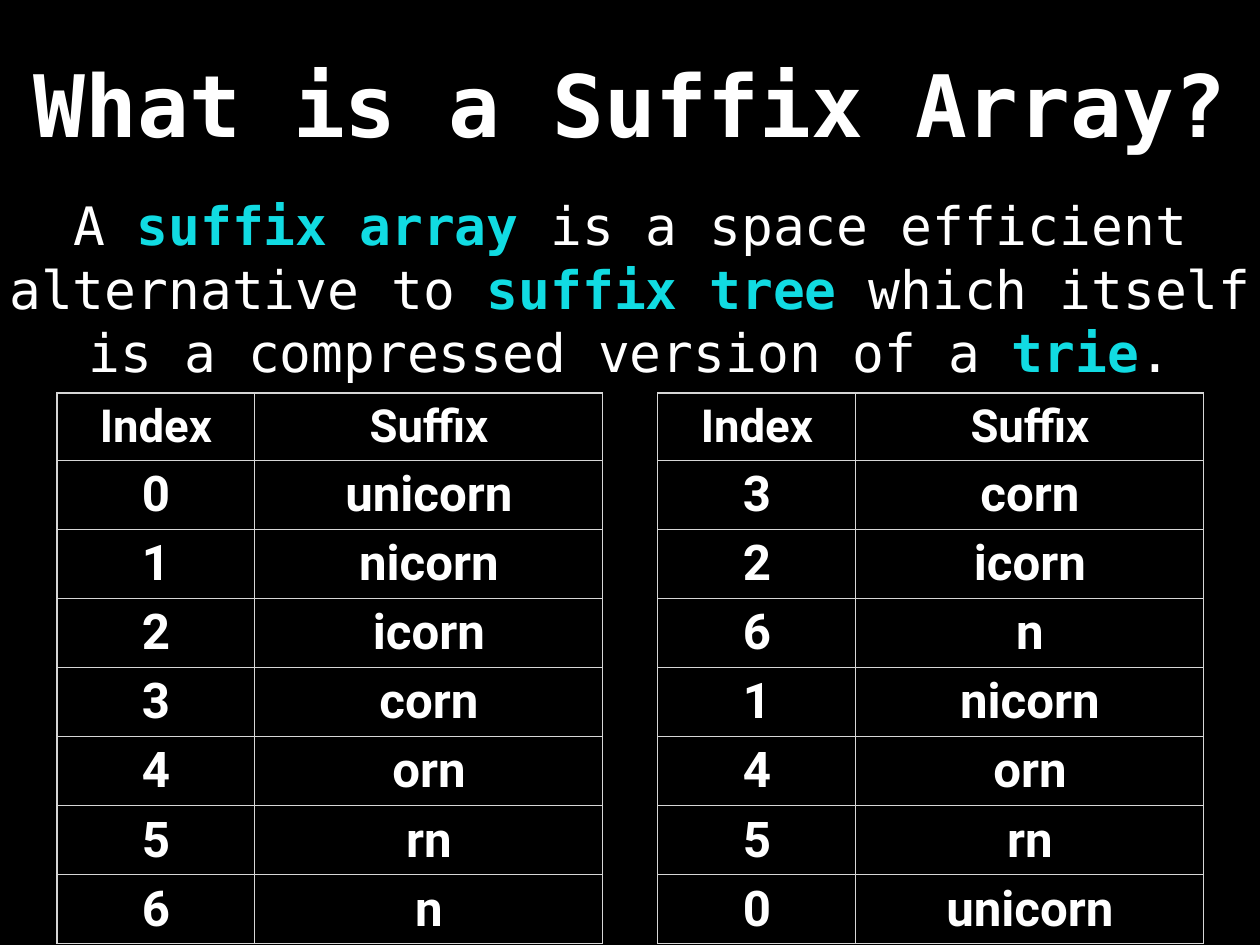
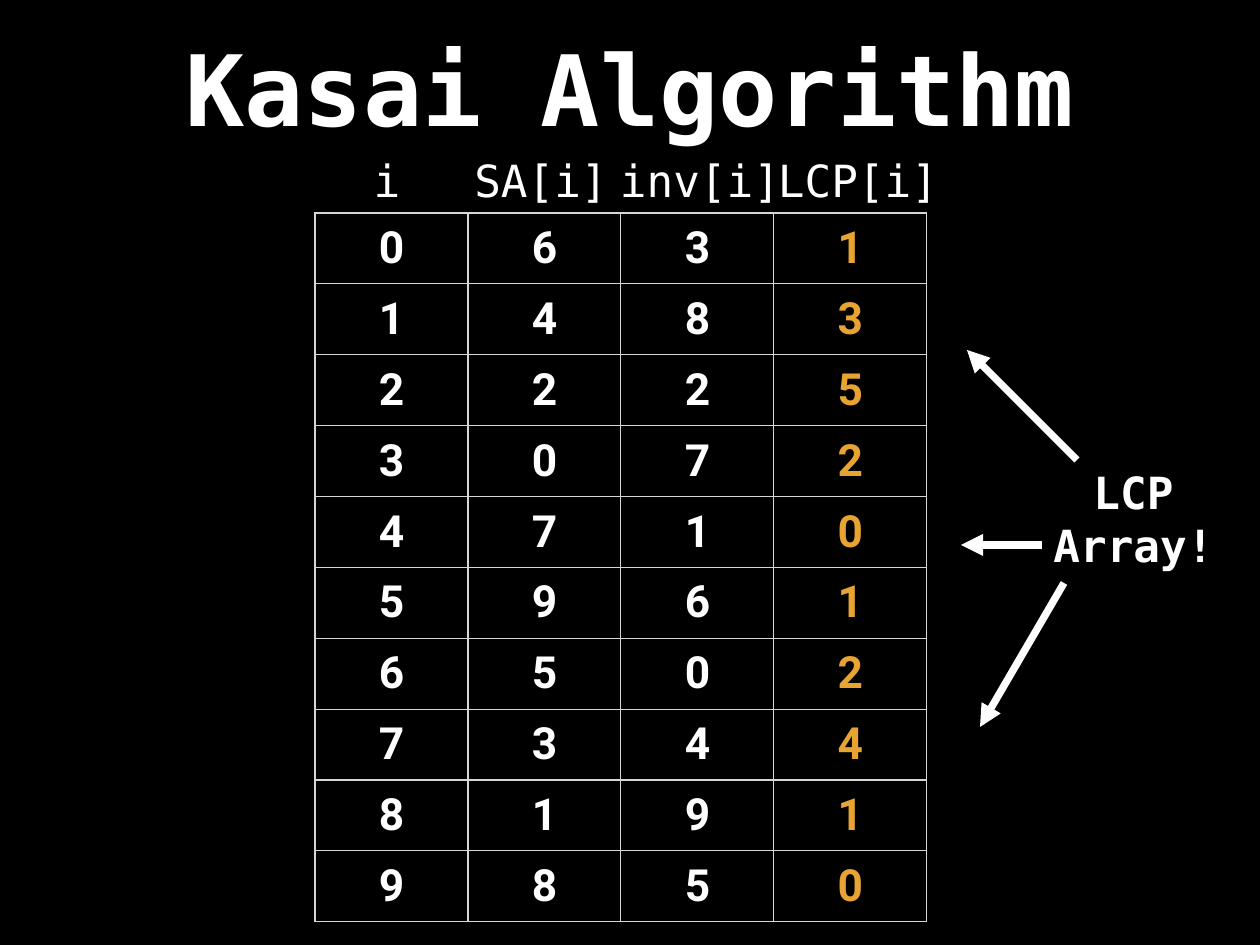
from lxml import etree
from pptx import Presentation
from pptx.dml.color import RGBColor as Rgb
from pptx.enum.shapes import MSO_CONNECTOR as Conn
from pptx.enum.text import MSO_ANCHOR as Anchor, PP_ALIGN as Align
from pptx.oxml import parse_xml
from pptx.oxml.ns import nsdecls, qn
from pptx.util import Pt

PX = 10321
WIDE, HIGH = 1260, 945
INSET = 5
MONO, SANS = "DejaVu Sans Mono", "Roboto"
INK = {
    "back": "000000",
    "text": "FFFFFF",
    "term": "11DBE2",
    "lcp": "E8A432",
    "grid": "D6D6D6",
}

SUFFIXES = ["unicorn", "nicorn", "icorn", "corn", "orn", "rn", "n"]
SORTED = [3, 2, 6, 1, 4, 5, 0]
SA = [6, 4, 2, 0, 7, 9, 5, 3, 1, 8]
INV = [3, 8, 2, 7, 1, 6, 0, 4, 9, 5]
LCP = [1, 3, 5, 2, 0, 1, 2, 4, 1, 0]


def emu(*sizes):
    return [round(size * PX) for size in sizes]


def write(frame, text, size=36, font=MONO, ink="text", bold=False):
    """Write one paragraph per line; words between asterisks are key terms."""
    for num, line in enumerate(text.split("\n")):
        para = frame.add_paragraph() if num else frame.paragraphs[0]
        para.alignment = Align.CENTER
        for part, words in enumerate(line.split("*")):
            term = part % 2 == 1
            run = para.add_run()
            run.text = words
            run.font.size = Pt(size)
            run.font.name = font
            run.font.bold = bold or term
            run.font.color.rgb = Rgb.from_string(INK["term" if term else ink])


def add_box(slide, text, x, y, w, h, wrap=True, **style):
    frame = slide.shapes.add_textbox(*emu(x, y, w, h)).text_frame
    frame.word_wrap = wrap
    frame.vertical_anchor = Anchor.MIDDLE
    frame.margin_left, frame.margin_top = emu(INSET, INSET)
    frame.margin_right, frame.margin_bottom = emu(INSET, INSET)
    write(frame, text, **style)


def add_slide(deck, title, size, high):
    slide = deck.slides.add_slide(deck.slide_layouts[6])
    slide.background.fill.solid()
    slide.background.fill.fore_color.rgb = Rgb.from_string(INK["back"])
    add_box(slide, title, 0, 0, WIDE, high, size=size, bold=True)
    return slide


def style_cell(cell):
    cell.vertical_anchor = Anchor.MIDDLE
    cell.margin_left, cell.margin_top = emu(INSET, INSET)
    cell.margin_right, cell.margin_bottom = emu(INSET, INSET)
    props = cell._tc.get_or_add_tcPr()
    for side in "LRTB":
        props.append(parse_xml(
            f'<a:ln{side} {nsdecls("a")} w="12700"><a:solidFill>'
            f'<a:srgbClr val="{INK["grid"]}"/></a:solidFill></a:ln{side}>'))
    cell.fill.background()


def add_grid(slide, rows, x, y, cols, high, style):
    """Draw a ruled table; style(row, col) gives the text format of a cell."""
    shape = slide.shapes.add_table(
        len(rows), len(cols), *emu(x, y, sum(cols), high))
    table = shape.table
    table.first_row = table.horz_banding = False
    for col, width in zip(table.columns, emu(*cols)):
        col.width = width
    for r, row in enumerate(rows):
        table.rows[r].height = emu(high / len(rows))[0]
        for c, value in enumerate(row):
            cell = table.cell(r, c)
            style_cell(cell)
            write(cell.text_frame, str(value), font=SANS, bold=True,
                  **style(r, c))


def add_arrow(slide, *ends):
    line = slide.shapes.add_connector(Conn.STRAIGHT, *emu(*ends))
    line.line.width = Pt(6)
    line.line.color.rgb = Rgb.from_string(INK["text"])
    etree.SubElement(line.line._get_or_add_ln(), qn("a:tailEnd"),
                     type="triangle")
    etree.SubElement(line._element.spPr, qn("a:effectLst"))


def add_suffix(deck):
    slide = add_slide(deck, "What is a Suffix Array?", 70, 207)
    add_box(slide, "A *suffix array* is a space efficient alternative to "
            "*suffix tree* which itself is a compressed version of a *trie*.",
            0, 135, WIDE, 306, size=43)
    for x, order in ((57, range(len(SUFFIXES))), (658, SORTED)):
        rows = [("Index", "Suffix")] + [(i, SUFFIXES[i]) for i in order]
        add_grid(slide, rows, x, 393, (198, 348), 539,
                 lambda r, c: {"size": 40 if r else 37})


def add_kasai(deck):
    slide = add_slide(deck, "Kasai Algorithm", 80, 174)
    rows = list(zip(range(len(SA)), SA, INV, LCP))
    add_grid(slide, rows, 315, 213, (153,) * 4, 709,
             lambda r, c: {"ink": "lcp" if c == 3 else "text"})
    heads = (("i", 387), ("SA[i]", 541), ("inv[i]", 700), ("LCP[i]", 858))
    for head, mid in heads:
        wide = 10 + 27 * len(head)
        add_box(slide, head, mid - wide / 2, 150, wide, 60, wrap=False)
    add_box(slide, "LCP\nArray!", 1048, 463, 171, 111, wrap=False, bold=True)
    for ends in ((1077, 460, 967, 350), (1042, 545, 961, 545),
                 (1064, 583, 980, 727)):
        add_arrow(slide, *ends)


def main():
    deck = Presentation()
    deck.slide_width, deck.slide_height = emu(WIDE, HIGH)
    add_suffix(deck)
    add_kasai(deck)
    deck.save("out.pptx")


if __name__ == "__main__":
    main()
